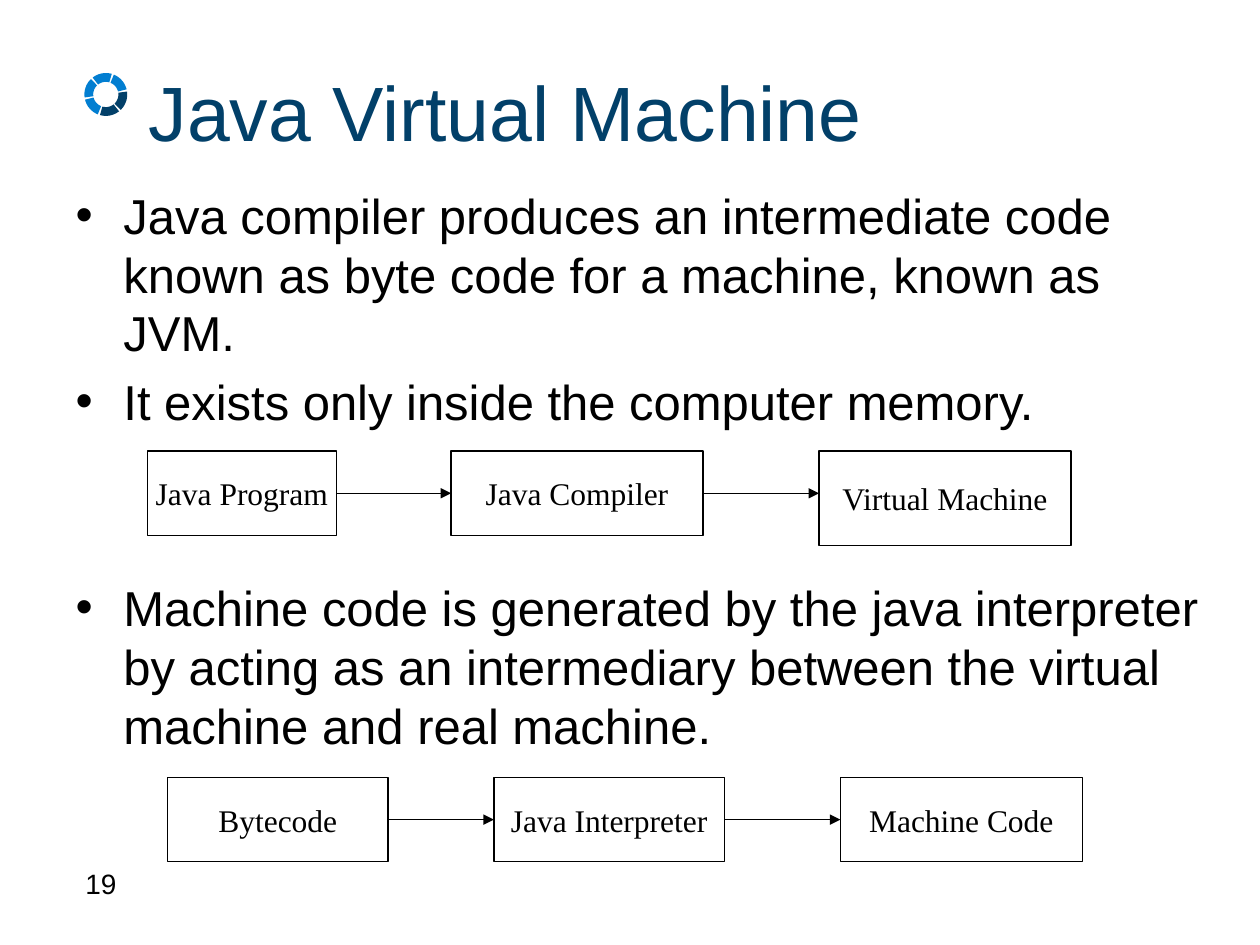
from math import cos, radians, sin

from lxml import etree
from pptx import Presentation
from pptx.dml.color import RGBColor
from pptx.enum.shapes import MSO_CONNECTOR, MSO_SHAPE
from pptx.enum.text import MSO_ANCHOR, MSO_AUTO_SIZE, PP_ALIGN
from pptx.oxml.ns import qn
from pptx.util import Inches, Pt

LEFT, CENTER = PP_ALIGN.LEFT, PP_ALIGN.CENTER
TOP, MIDDLE = MSO_ANCHOR.TOP, MSO_ANCHOR.MIDDLE
NO_FIT = MSO_AUTO_SIZE.NONE
RECTANGLE, STRAIGHT = MSO_SHAPE.RECTANGLE, MSO_CONNECTOR.STRAIGHT
LEFT_SIDE, RIGHT_SIDE = 1, 3

NAVY, BLUE, BLACK, WHITE = "024069", "027ED1", "000000", "FFFFFF"
SANS, SERIF = "Arial", "Times New Roman"


def color(value):
    return RGBColor.from_string(value)


def write(p, text, size=18, font=SANS, fill=BLACK, align=LEFT, before=0):
    p.alignment = align
    p.space_before = Pt(before)
    r = p.add_run()
    r.text = text
    r.font.size = Pt(size)
    r.font.name = font
    r.font.color.rgb = color(fill)


class Deck:
    def __init__(self, width, height):
        self.prs = Presentation()
        self.prs.slide_width = Inches(width)
        self.prs.slide_height = Inches(height)
        self.s = self.prs.slides.add_slide(self.prs.slide_layouts[1])

    def frame(self, sp, anchor=TOP, wrap=True):
        tf = sp.text_frame
        tf.auto_size = NO_FIT
        tf.word_wrap = wrap
        tf.vertical_anchor = anchor
        return tf

    def place(self, sp, x, y, w, h):
        sp.left, sp.top, sp.width, sp.height = map(Inches, (x, y, w, h))

    def title(self, text, *box):
        sp = self.s.shapes.title
        self.place(sp, *box)
        write(self.frame(sp, MIDDLE).paragraphs[0], text, size=44, fill=NAVY)

    def bullets(self, items, *box):
        """Fill the body with (text, space before) pairs."""
        sp = self.s.placeholders[1]
        self.place(sp, *box)
        tf = self.frame(sp)
        for i, (text, before) in enumerate(items):
            p = tf.add_paragraph() if i else tf.paragraphs[0]
            pPr = p._p.get_or_add_pPr()
            pPr.set("marL", str(Inches(0.38)))
            pPr.set("indent", str(-Inches(0.38)))
            etree.SubElement(pPr, qn("a:buChar")).set("char", "•")
            write(p, text, size=28, before=before)

    def text(self, text, *box, **style):
        sp = self.s.shapes.add_textbox(*map(Inches, box))
        write(self.frame(sp).paragraphs[0], text, **style)

    def ring_segment(self, cx, cy, inner, outer, start, sweep, fill):
        steps = [start + sweep * i / 12 for i in range(13)]
        arcs = [(outer, a) for a in steps] + [(inner, a) for a in reversed(steps)]
        points = [(Inches(cx + r * cos(radians(a))), Inches(cy + r * sin(radians(a))))
                  for r, a in arcs]
        builder = self.s.shapes.build_freeform(*points[0])
        builder.add_line_segments(points[1:])
        sp = builder.convert_to_shape()
        sp.shadow.inherit = False
        sp.fill.solid()
        sp.fill.fore_color.rgb = color(fill)
        sp.line.fill.background()

    def box(self, text, *box):
        sp = self.s.shapes.add_shape(RECTANGLE, *map(Inches, box))
        sp.shadow.inherit = False
        sp.fill.solid()
        sp.fill.fore_color.rgb = color(WHITE)
        sp.line.color.rgb = color(BLACK)
        sp.line.width = Pt(0.75)
        tf = self.frame(sp, MIDDLE, wrap=False)
        write(tf.paragraphs[0], text, font=SERIF, align=CENTER)
        return sp

    def arrow(self, start, end):
        """Level arrow from box to box, joined at the end if the middles match."""
        y = start.top + start.height // 2
        line = self.s.shapes.add_connector(STRAIGHT, start.left + start.width, y,
                                           end.left, y)
        line.begin_connect(start, RIGHT_SIDE)
        if end.height == start.height:
            line.end_connect(end, LEFT_SIDE)
        line.line.color.rgb = color(BLACK)
        line.line.width = Pt(0.75)
        ln = line.line._get_or_add_ln()
        etree.SubElement(ln, qn("a:tailEnd")).set("type", "triangle")
        etree.SubElement(line._element.spPr, qn("a:effectLst"))

    def flow(self, y, steps):
        """Row of boxes, given as (text, left, width, height), joined by arrows."""
        boxes = [self.box(text, x, y, w, h) for text, x, w, h in steps]
        for start, end in zip(boxes, boxes[1:]):
            self.arrow(start, end)


def main():
    deck = Deck(10, 7.5)
    deck.title("Java Virtual Machine", 1.08, 0.25, 8.37, 1.25)
    deck.bullets([
        ("Java compiler produces an intermediate code known as byte code "
         "for a machine, known as JVM.", 0),
        ("It exists only inside the computer memory.", 5.6),
        ("Machine code is generated by the java interpreter by acting as an "
         "intermediary between the virtual machine and real machine.", 84),
    ], 0.5, 1.42, 9.17, 4.92)

    for i, fill in enumerate([BLUE, BLUE, NAVY, NAVY, BLUE, BLUE]):
        deck.ring_segment(0.84, 0.75, 0.1, 0.17, -128 + 60 * i, 54, fill)

    deck.text("19", 0.58, 6.83, 2.33, 0.52, size=16)
    deck.flow(3.58, [("Java Program", 1.17, 1.5, 0.67),
                     ("Java Compiler", 3.58, 2, 0.67),
                     ("Virtual Machine", 6.5, 2, 0.75)])
    deck.flow(6.17, [("Bytecode", 1.33, 1.75, 0.67),
                     ("Java Interpreter", 3.92, 1.83, 0.67),
                     ("Machine Code", 6.67, 1.92, 0.67)])
    deck.prs.save("out.pptx")


if __name__ == "__main__":
    main()
